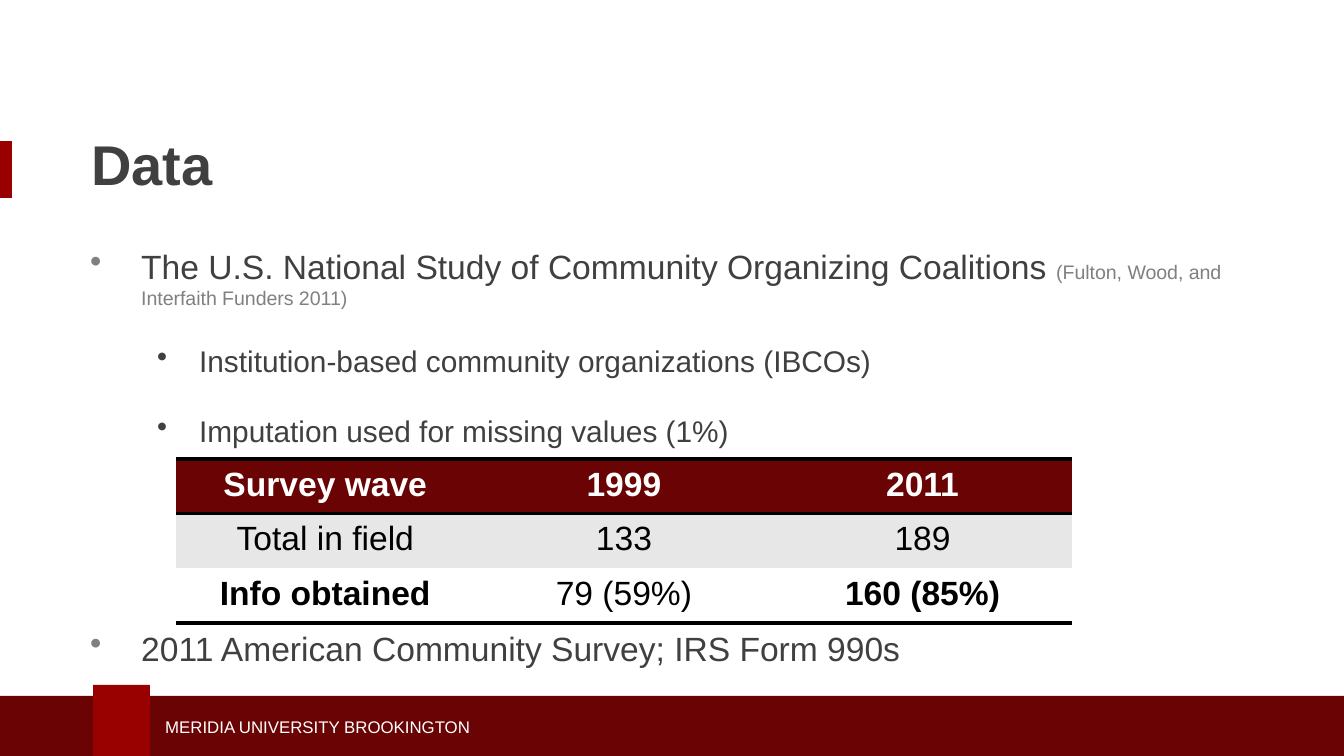
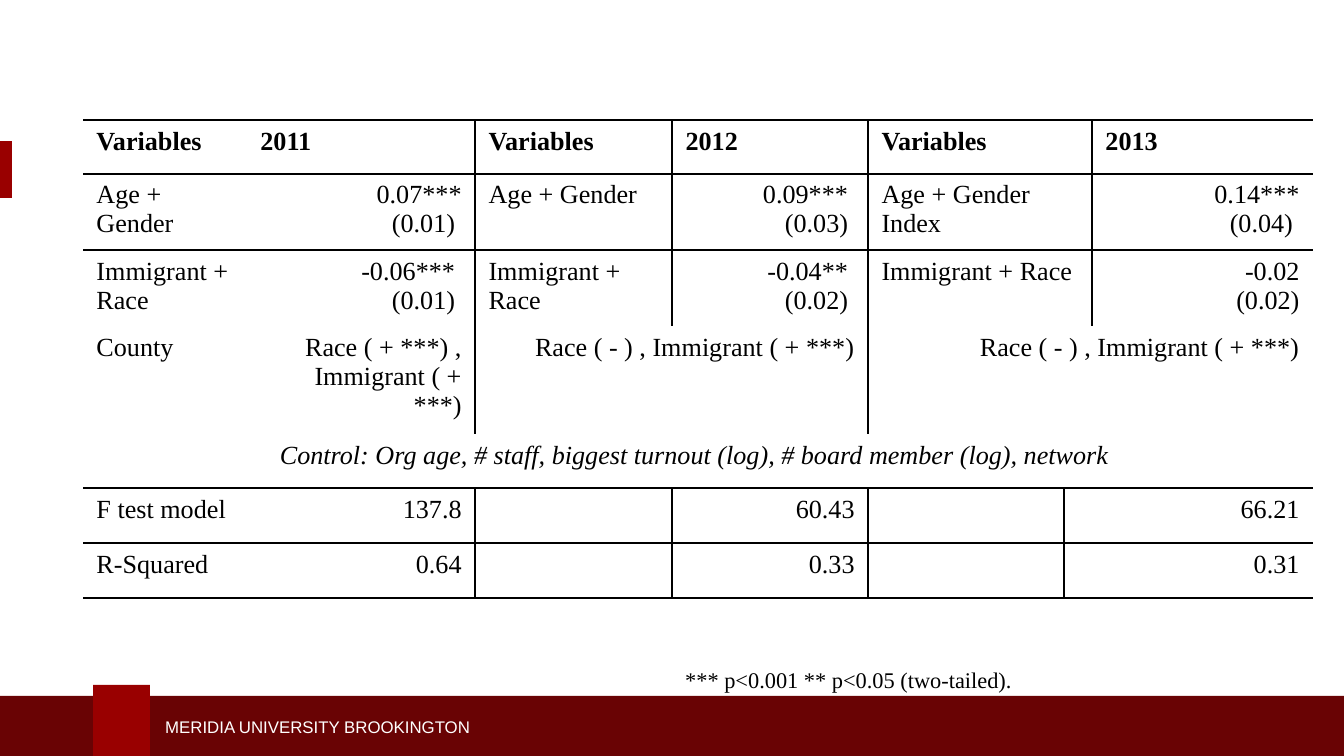
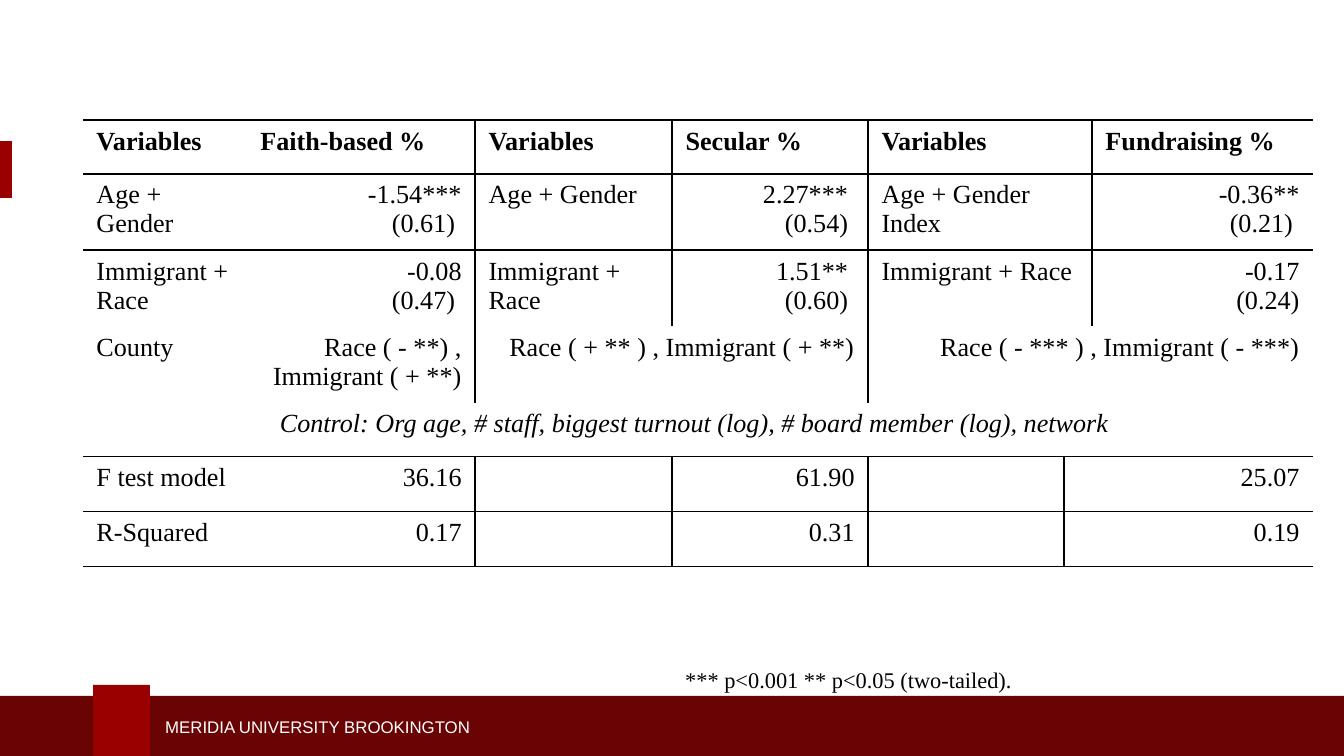
"""Build three slides on community organizing coalitions: the data and two regression tables."""
from dataclasses import dataclass

from lxml import etree
from pptx import Presentation
from pptx.dml.color import RGBColor
from pptx.enum.shapes import MSO_SHAPE
from pptx.enum.text import MSO_ANCHOR, MSO_AUTO_SIZE, PP_ALIGN
from pptx.oxml.ns import qn
from pptx.util import Pt

RECTANGLE = MSO_SHAPE.RECTANGLE
MIDDLE = MSO_ANCHOR.MIDDLE
NO_AUTOFIT = MSO_AUTO_SIZE.NONE
LEFT, CENTER, RIGHT = PP_ALIGN.LEFT, PP_ALIGN.CENTER, PP_ALIGN.RIGHT
TITLE_ONLY, BLANK = 5, 6
PX = 6804


@dataclass(frozen=True)
class Theme:
    sans: str = "Arial"
    serif: str = "Times New Roman"
    crimson: str = "990000"
    maroon: str = "690304"
    ink: str = "404041"
    muted: str = "808080"
    stripe: str = "E7E7E7"
    black: str = "000000"
    white: str = "FFFFFF"
    title_size: float = 30
    body_size: float = 18
    sub_size: float = 16
    model_size: float = 14
    note_size: float = 12
    citation_size: float = 10.5
    footer_size: float = 9


THEME = Theme()


def style_paragraph(paragraph, size, color, name=THEME.sans, bold=False, align=LEFT):
    paragraph.alignment = align
    font = paragraph.font
    font.size, font.name, font.bold = Pt(size), name, bold
    font.color.rgb = RGBColor.from_string(color)


def set_borders(cell, sides, points):
    properties = cell._tc.get_or_add_tcPr()
    for position, side in enumerate("LRTB"):
        line = etree.Element(qn(f"a:ln{side}"), w=str(Pt(points)))
        if side in sides:
            fill = etree.SubElement(line, qn("a:solidFill"))
            etree.SubElement(fill, qn("a:srgbClr"), val=THEME.black)
        else:
            etree.SubElement(line, qn("a:noFill"))
        properties.insert(position, line)


presentation = Presentation()
presentation.slide_width, presentation.slide_height = 1344 * PX, 756 * PX
layouts = presentation.slide_layouts
data_slide = presentation.slides.add_slide(layouts[TITLE_ONLY])

master_parts = []
for left, top, width, height, color in [
    (0, 141, 12, 57, THEME.crimson),
    (-4, 696, 1356, 67, THEME.maroon),
    (93, 685, 57, 78, THEME.crimson),
]:
    shape = data_slide.shapes.add_shape(RECTANGLE, left * PX, top * PX, width * PX, height * PX)
    shape.shadow.inherit = False
    shape.fill.solid()
    shape.fill.fore_color.rgb = RGBColor.from_string(color)
    shape.line.fill.background()
    master_parts.append(shape)

footer = data_slide.shapes.add_textbox(152 * PX, 710 * PX, 531 * PX, 34 * PX)
footer.text_frame.word_wrap = True
footer.text_frame.vertical_anchor = MIDDLE
footer.text_frame.text = "MERIDIA UNIVERSITY BROOKINGTON"
style_paragraph(footer.text_frame.paragraphs[0], THEME.footer_size, THEME.white)
master_parts.append(footer)

for number, shape in enumerate(master_parts, start=101):
    shape.element.xpath("p:nvSpPr/p:cNvPr")[0].set("id", str(number))
    presentation.slide_master.shapes.element.append(shape.element)

title = data_slide.shapes.title
title.left, title.top, title.width, title.height = 78 * PX, 112 * PX, 1176 * PX, 102 * PX
title.text_frame.text = "Data"
title.text_frame.vertical_anchor = MIDDLE
title.text_frame.auto_size = NO_AUTOFIT
style_paragraph(title.text_frame.paragraphs[0], THEME.title_size, THEME.ink, bold=True)

body = data_slide.shapes.add_textbox(77 * PX, 239 * PX, 1179 * PX, 469 * PX).text_frame
body.word_wrap = True
bullet_styles = [
    (51, -51, THEME.body_size, THEME.muted),
    (109, -42, THEME.sub_size, THEME.ink),
]
bullets = [
    (0, 0, "The U.S. National Study of Community Organizing Coalitions ",
     "(Fulton, Wood, and Interfaith Funders 2011)"),
    (1, 0, "Institution-based community organizations (IBCOs)", ""),
    (1, 0, "Imputation used for missing values (1%)", ""),
    (0, 78, "2011 American Community Survey; IRS Form 990s", ""),
]
for index, (level, gap, text, citation) in enumerate(bullets):
    paragraph = body.add_paragraph() if index else body.paragraphs[0]
    margin, indent, size, bullet_color = bullet_styles[level]
    properties = paragraph._p.get_or_add_pPr()
    properties.set("marL", str(margin * PX))
    properties.set("indent", str(indent * PX))
    color_element = etree.SubElement(properties, qn("a:buClr"))
    etree.SubElement(color_element, qn("a:srgbClr"), val=bullet_color)
    etree.SubElement(properties, qn("a:buChar"), char="•")
    paragraph.level = level
    paragraph.space_before, paragraph.space_after = Pt(gap), Pt(18)
    style_paragraph(paragraph, size, THEME.ink)
    paragraph.add_run().text = text
    if citation:
        run = paragraph.add_run()
        run.text = citation
        run.font.size = Pt(THEME.citation_size)
        run.font.color.rgb = RGBColor.from_string(THEME.muted)

waves = [
    ("Survey wave", "1999", "2011"),
    ("Total in field", "133", "189"),
    ("Info obtained", "79 (59%)", "160 (85%)"),
]
wave_styles = [
    (THEME.maroon, THEME.white, "TB"),
    (THEME.stripe, THEME.black, "T"),
    (THEME.white, THEME.black, "B"),
]
bold_texts = {*waves[0], "Info obtained", "160 (85%)"}
wave_table = data_slide.shapes.add_table(3, 3, 176 * PX, 459 * PX, 896 * PX, 164 * PX).table
wave_table.horz_banding = False
for row, (texts, (fill, color, sides)) in enumerate(zip(waves, wave_styles)):
    for column, text in enumerate(texts):
        cell = wave_table.cell(row, column)
        cell.text = text
        cell.fill.solid()
        cell.fill.fore_color.rgb = RGBColor.from_string(fill)
        set_borders(cell, sides, 2)
        style_paragraph(cell.text_frame.paragraphs[0], THEME.body_size, color,
                        bold=text in bold_texts, align=CENTER)

column_widths = [164, 32, 196, 197, 196, 196, 28, 221]
row_heights = [54, 76, 76, 76, 54, 55, 55]
model_spans, test_spans = (1, 2, 1, 1, 2, 1), (2, 1, 1, 1, 1, 2)
row_spans = [model_spans] * 3 + [(1, 2, 2, 3), (8,)] + [test_spans] * 2
label_value = (LEFT, RIGHT) * 3
row_aligns = [(LEFT,) * 6, label_value, label_value, (LEFT, RIGHT, RIGHT, RIGHT),
              (CENTER,), label_value, label_value]
model_edges, test_edges = {3, 4, 5, 7}, {3, 4, 5, 6}
vertical_edges = [model_edges] * 3 + [{3, 5}, set()] + [test_edges] * 2
horizontal_edges = {0, 1, 2, 5, 6, 7}

row_labels = [
    ("Variables",) * 3,
    ("Age + Gender", "Age + Gender", "Age + Gender\nIndex"),
    ("Immigrant + Race",) * 3,
    ("County",),
    ("Control: Org age, # staff, biggest turnout (log), # board member (log), network ",),
    ("F test model", "", ""),
    ("R-Squared", "", ""),
]
model_values = [
    [
        ("2011", "2012", "2013"),
        ("0.07***\n(0.01) ", "0.09*** \n(0.03) ", "0.14***\n(0.04) "),
        ("-0.06*** \n(0.01) ", "-0.04** \n(0.02) ", "-0.02\n(0.02)"),
        ("Race ( + ***) , Immigrant ( + ***)", "Race ( - ) , Immigrant ( + ***)",
         "Race ( - ) , Immigrant ( + ***)"),
        (),
        ("137.8", "60.43", "66.21"),
        ("0.64", "0.33", "0.31"),
    ],
    [
        ("Faith-based %", "Secular %", "Fundraising %"),
        ("-1.54***\n(0.61) ", "2.27*** \n(0.54) ", "-0.36**\n(0.21) "),
        ("-0.08\n(0.47) ", "1.51** \n(0.60) ", "-0.17\n(0.24)"),
        ("Race ( - **) , Immigrant ( + **)", "Race ( + ** ) , Immigrant ( + **)",
         "Race ( - *** ) , Immigrant ( - ***)"),
        (),
        ("36.16", "61.90", "25.07"),
        ("0.17", "0.31", "0.19"),
    ],
]

for values_by_row in model_values:
    slide = presentation.slides.add_slide(layouts[BLANK])
    table = slide.shapes.add_table(7, 8, 83 * PX, 120 * PX, 1230 * PX, 446 * PX).table
    table.first_row = table.horz_banding = False
    for column, width in enumerate(column_widths):
        table.columns[column].width = width * PX
    for row, (labels, values) in enumerate(zip(row_labels, values_by_row)):
        table.rows[row].height = row_heights[row] * PX
        if len(labels) == len(values):
            texts = [text for pair in zip(labels, values) for text in pair]
        else:
            texts = [*labels, *values]
        column = 0
        for text, span, align in zip(texts, row_spans[row], row_aligns[row]):
            cell = table.cell(row, column)
            if span > 1:
                cell.merge(table.cell(row, column + span - 1))
            cell.text = text
            for paragraph in cell.text_frame.paragraphs:
                style_paragraph(paragraph, THEME.model_size, THEME.black, THEME.serif,
                                bold=row == 0, align=align)
                paragraph.font.italic = span == 8
            for offset in range(span):
                part = table.cell(row, column + offset)
                part.fill.background()
                right = column + (offset + 1 if offset else span)
                edges = [("L", column + offset in vertical_edges[row]),
                         ("R", right in vertical_edges[row]),
                         ("T", row in horizontal_edges),
                         ("B", row + 1 in horizontal_edges)]
                if offset:
                    edges[0] = ("L", False)
                set_borders(part, [side for side, drawn in edges if drawn], 1)
            column += span

    note = slide.shapes.add_textbox(672 * PX, 660 * PX, 672 * PX, 40 * PX).text_frame
    note.word_wrap = True
    note.text = "*** p<0.001 ** p<0.05 (two-tailed)."
    style_paragraph(note.paragraphs[0], THEME.note_size, THEME.black, THEME.serif)

presentation.save("out.pptx")
